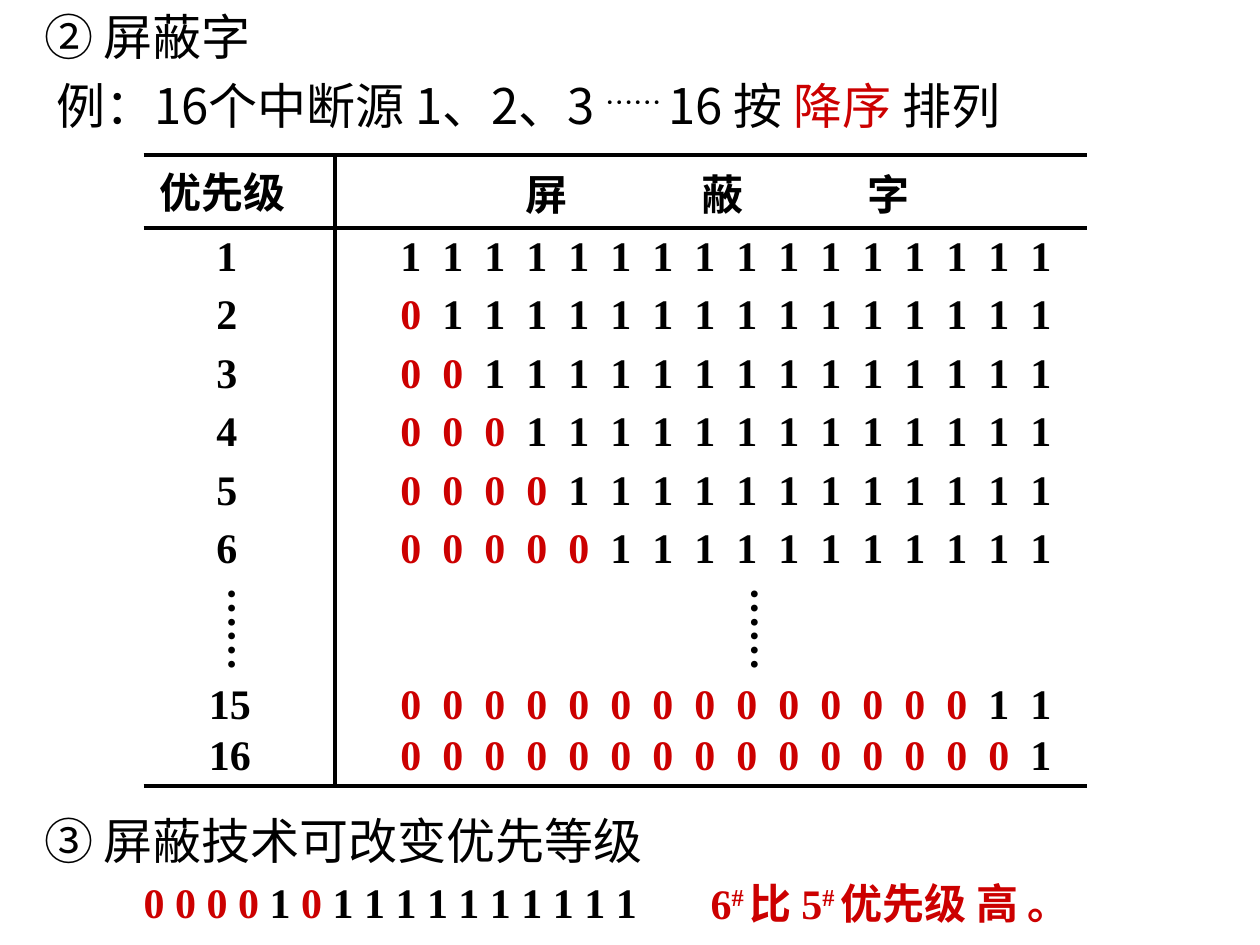
"""Build the slide on interrupt mask words and priority order."""
from dataclasses import dataclass
from typing import Any

from lxml import etree
from pptx import Presentation, util as u
from pptx.dml import color
from pptx.enum import shapes, text
from pptx.oxml import ns

BLACK, RED = "000000", "CC0000"
SOURCES = 16
MARGINS = (0.1, 0.05, 0.1, 0.05)
FLUSH = (0, 0, 0, 0)


def rgb(value):
    return color.RGBColor.from_string(value)


def add_text(para, words, size=24, font="Times New Roman", ink=BLACK, bold=True, raised=0):
    span = para.add_run()
    span.text = words
    span.font.size = u.Pt(size)
    span.font.name = font
    span.font.bold = bold
    span.font.color.rgb = rgb(ink)
    east = etree.SubElement(span.font._element, ns.qn("a:ea"))
    east.set("typeface", "Noto Sans CJK SC")
    if raised:
        span.font._element.set("baseline", str(raised * 1000))


def mask_spans(zeros):
    spans = [("\t".join("0" * zeros), RED)] if zeros else []
    ones = "\t".join("1" * (SOURCES - zeros))
    return spans + [("\t" + ones if zeros else ones, BLACK)]


@dataclass
class SlideWriter:
    """Holds the style and the current slide."""
    page: Any
    line_color: str = BLACK
    line_width: float = 2.25

    def text_box(self, left, top, width, height, spans, margins=MARGINS,
                 middle=False, wrap=False, tabs=(), vertical=False, **style):
        box = self.page.shapes.add_textbox(*map(u.Inches, (left, top, width, height)))
        frame = box.text_frame
        frame.word_wrap = wrap
        (frame.margin_left, frame.margin_top,
         frame.margin_right, frame.margin_bottom) = map(u.Inches, margins)
        frame.vertical_anchor = text.MSO_ANCHOR.MIDDLE if middle else text.MSO_ANCHOR.TOP
        if vertical:
            frame._txBody.bodyPr.set("vert", "eaVert")
        para = frame.paragraphs[0]
        if tabs:
            stops = etree.SubElement(para._p.get_or_add_pPr(), ns.qn("a:tabLst"))
            for stop in tabs:
                etree.SubElement(stops, ns.qn("a:tab"), pos=str(u.Inches(stop)), algn="l")
        for words, ink, *raised in spans:
            add_text(para, words, ink=ink, raised=raised[0] if raised else 0, **style)

    def heading(self, left, top, width, height, spans, **layout):
        self.text_box(left, top, width, height, spans,
                      size=28, font="Noto Sans CJK SC", bold=False, **layout)

    def rule(self, x1, y1, x2, y2):
        line = self.page.shapes.add_connector(
            shapes.MSO_CONNECTOR.STRAIGHT, *map(u.Inches, (x1, y1, x2, y2)))
        line.line.color.rgb = rgb(self.line_color)
        line.line.width = u.Pt(self.line_width)
        etree.SubElement(line._element.spPr, ns.qn("a:effectLst"))

    def mask_row(self, priority, top):
        label = str(priority)
        left, width = (1.62, 0.36) if len(label) == 1 else (1.56, 0.53)
        self.text_box(left, top, width, 0.5, [(label, BLACK)])
        self.text_box(3.08, top, 5.36, 0.5, mask_spans(priority - 1),
                      margins=(0.1, 0.05, 0, 0.05), wrap=True,
                      tabs=[i / 3 for i in range(1, SOURCES)])

    def vertical_dots(self, left):
        self.text_box(left, 4.56, 0.6, 0.77, [("……", BLACK)],
                      margins=(0.05, 0.1, 0.05, 0.1), vertical=True)


def main():
    deck = Presentation()
    deck.slide_width, deck.slide_height = u.Inches(10), u.Inches(7.5)
    writer = SlideWriter(deck.slides.add_slide(deck.slide_layouts[6]))

    writer.heading(0.35, 0.05, 5.9, 0.47, [("② 屏蔽字", BLACK)], margins=FLUSH, middle=True)
    writer.heading(0.35, 0.55, 9.25, 0.66, [
        ("例：16个中断源 1、2、3 ", BLACK), ("…… ", BLACK, 22),
        ("16 按 ", BLACK), ("降序 ", RED), ("排列", BLACK)], wrap=True)

    writer.text_box(1.17, 1.27, 1.2, 0.5, [("优先级", BLACK)])
    writer.text_box(4.07, 1.29, 3.32, 0.5, [("屏\t蔽\t字", BLACK)],
                    wrap=True, tabs=(1.4, 2.72))
    for y in (1.23, 1.81, 6.24):
        writer.rule(1.14, y, 8.63, y)
    writer.rule(2.66, 1.24, 2.66, 6.24)

    tops = {priority: 1.77 + 0.464 * (priority - 1) for priority in range(1, 7)}
    tops.update({15: 5.33, 16: 5.73})
    for priority, top in tops.items():
        writer.mask_row(priority, top)
    for left in (1.6, 5.75):
        writer.vertical_dots(left)

    writer.heading(0.35, 6.43, 6.86, 0.47, [("③ 屏蔽技术可改变优先等级", BLACK)],
                   margins=FLUSH, middle=True)
    writer.text_box(1.14, 6.92, 4.49, 0.47, [
        ("0 0 0 0", RED), (" 1", BLACK), (" 0", RED), (" 1" * 10, BLACK)],
        margins=FLUSH, middle=True)
    writer.text_box(5.64, 6.93, 3.68, 0.47, [
        ("6", RED), ("# ", RED, 30), ("比 5", RED), ("# ", RED, 30), ("优先级 高 。", RED)],
        margins=FLUSH, middle=True)
    deck.save("out.pptx")


if __name__ == "__main__":
    main()
